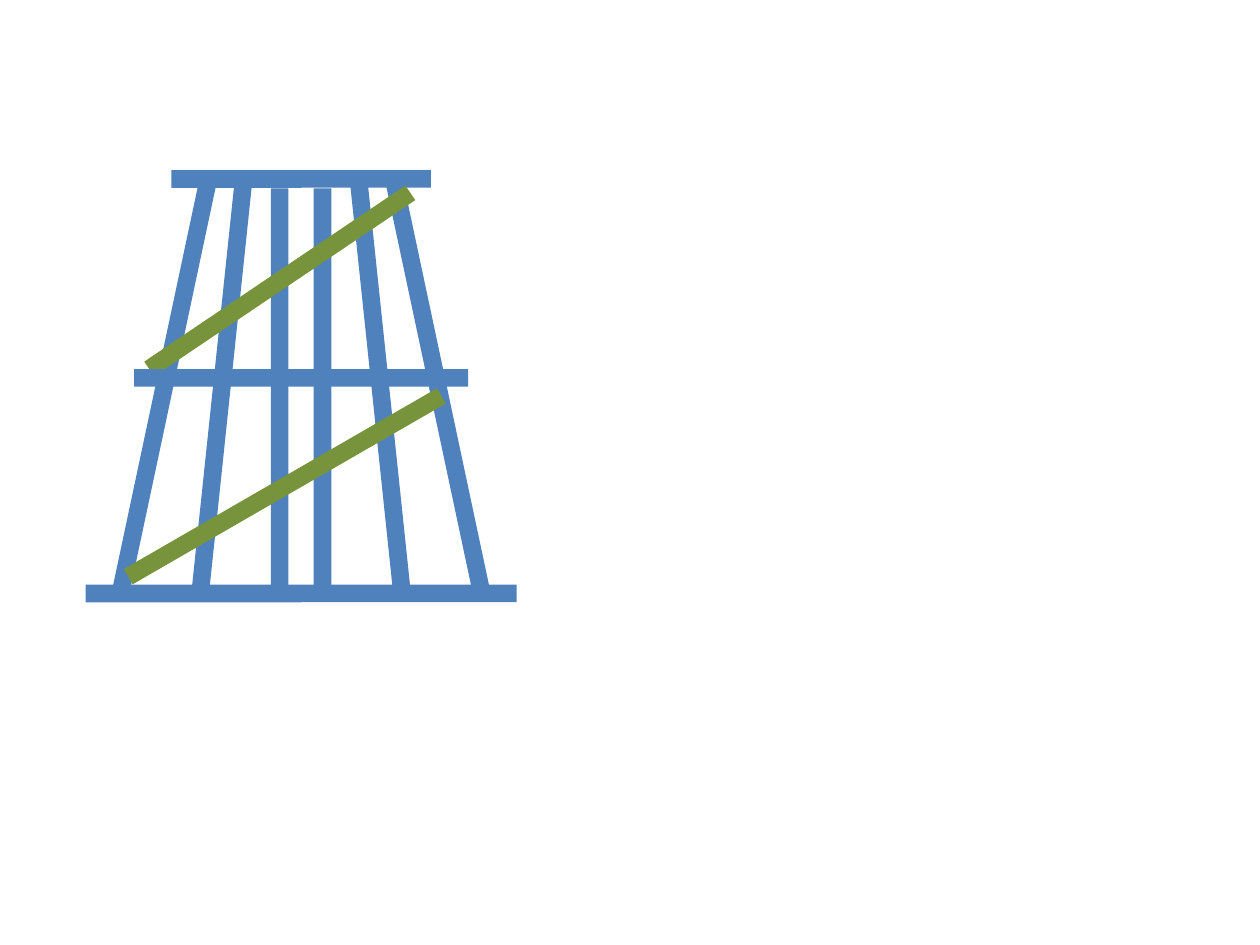
from pptx import Presentation
from pptx.dml.color import RGBColor
from pptx.enum.shapes import MSO_SHAPE
from pptx.util import Inches

RECT = MSO_SHAPE.RECTANGLE
BLUE = RGBColor(0x4F, 0x81, 0xBD)
GREEN = RGBColor(0x77, 0x93, 0x3C)
THICK = 0.14
AXIS = 2.39  # the tower is symmetric about this line
TOP, MID, BASE = 1.42, 3.0, 4.71  # centre heights of the beams
HALF_TOP, HALF_BASE = 1.03, 1.71  # beam lengths on each side of the axis

deck = Presentation()
deck.slide_width, deck.slide_height = Inches(10), Inches(7.5)
slide = deck.slides.add_slide(deck.slide_layouts[6])


def add_bar(x, y, length, angle, color):
    """Add an upright bar centred on (x, y), turned clockwise by angle."""
    bar = slide.shapes.add_shape(
        RECT, Inches(x - THICK / 2), Inches(y - length / 2),
        Inches(THICK), Inches(length))
    bar.rotation = angle % 360
    bar.shadow.inherit = False
    bar.fill.solid()
    bar.fill.fore_color.rgb = color
    bar.line.fill.background()


# Mirrored pairs: offset from the axis, centre height, length, angle on the right
PAIRS = [
    (HALF_TOP / 2, TOP, HALF_TOP, 90),
    (0.63, 3.08, 3.3, -6),
    (1.09, 3.09, 3.34, -12),
    (HALF_BASE / 2, BASE, HALF_BASE, 90),
    (0.17, 3.08, 3.17, 0),
]
for off, y, length, angle in PAIRS:
    for side in (1, -1):
        add_bar(AXIS + side * off, y, length, side * angle, BLUE)

# Diagonal braces, then the middle beam in front of them
add_bar(2.22, 2.23, 2.5, 56, GREEN)
add_bar(2.26, 3.86, 2.87, 60, GREEN)
add_bar(AXIS, MID, 2.65, 90, BLUE)

deck.save("out.pptx")
